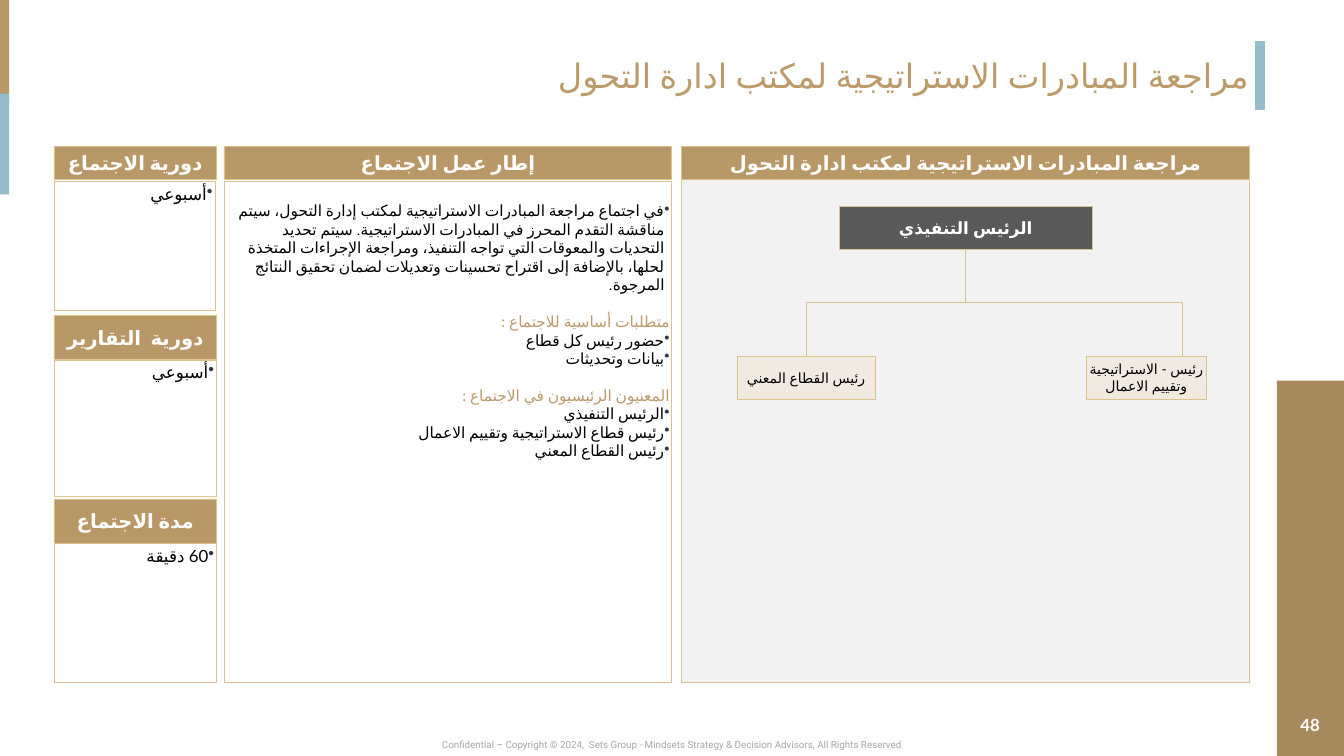
from lxml import etree
from pptx import Presentation, util as u
from pptx.dml.color import RGBColor
from pptx.enum import lang, shapes, text
from pptx.oxml.ns import qn

GOLD, TITLE_GOLD, BORDER, BLUE = "B99868", "BC9A69", "DCC28C", "94BCCB"
WHITE, BLACK, BULLET, CREAM = "FFFFFF", "000000", "293947", "F1EAE1"
CENTER, RIGHT = text.PP_ALIGN.CENTER, text.PP_ALIGN.RIGHT
MIDDLE, TOP = text.MSO_ANCHOR.MIDDLE, text.MSO_ANCHOR.TOP
INSET = 0.04


def paint(color_format, color):
    color_format.rgb = RGBColor.from_string(color)


def add_rect(page, bounds, fill, border=None, width=0.75):
    rect = page.shapes.add_shape(shapes.MSO_SHAPE.RECTANGLE, *map(u.Inches, bounds))
    rect.shadow.inherit = False
    rect.fill.solid()
    paint(rect.fill.fore_color, fill)
    if border:
        paint(rect.line.color, border)
        rect.line.width = u.Pt(width)
    else:
        rect.line.fill.background()
    return rect


def set_frame(shape, anchor, across=INSET, top=INSET, bottom=INSET):
    frame = shape.text_frame
    frame.word_wrap = True
    frame.vertical_anchor = anchor
    frame.margin_left = frame.margin_right = u.Inches(across)
    frame.margin_top, frame.margin_bottom = u.Inches(top), u.Inches(bottom)
    return frame


def set_para(para, words, size, color, align=CENTER, font="Lato", bold=False,
             rtl=True, bullet=False):
    para.text = words
    para.alignment = align
    props = para._p.get_or_add_pPr()
    if bullet:
        props.set("marL", str(u.Inches(0.1)))
        props.set("indent", str(-u.Inches(0.1)))
        bullet_color = etree.SubElement(props, qn("a:buClr"))
        etree.SubElement(bullet_color, qn("a:srgbClr"), val=BULLET)
        etree.SubElement(props, qn("a:buChar"), char="•")
    para.font.name, para.font.size, para.font.bold = font, u.Pt(size), bold
    paint(para.font.color, color)
    if rtl:
        props.set("rtl", "1")
        etree.SubElement(props.find(qn("a:defRPr")), qn("a:cs"), typeface=font)
        para.runs[0].font.language_id = lang.MSO_LANGUAGE_ID.ARABIC


def add_label(page, bounds, words, fill, size, color=WHITE, bold=True):
    rect = add_rect(page, bounds, fill, BORDER)
    set_para(set_frame(rect, MIDDLE).paragraphs[0], words, size, color, bold=bold)


def add_text(page, bounds, words, size, color, across=0.1, down=0.05, **style):
    box = page.shapes.add_textbox(*map(u.Inches, bounds))
    para = set_frame(box, MIDDLE, across, down, down).paragraphs[0]
    set_para(para, words, size, color, **style)
    return para


def add_side_card(page, top, header_height, body_top, body_size, header, words):
    add_label(page, (1.07, top, 3.22, header_height), header, GOLD, 28)
    rect = add_rect(page, (1.07, body_top, *body_size), WHITE, BORDER)
    set_para(set_frame(rect, TOP).paragraphs[0], words, 24, BLACK, RIGHT, bullet=True)


def add_framework(page, sections):
    rect = add_rect(page, (4.44, 3.6, 8.88, 9.93), WHITE, BORDER)
    frame = set_frame(rect, TOP, top=0.4)
    para = frame.paragraphs[0]
    for heading, items in sections:
        if heading:
            para = frame.add_paragraph()
            set_para(para, heading, 22, TITLE_GOLD, RIGHT)
            para.space_before = u.Pt(26)
        for item in items:
            if heading:
                para = frame.add_paragraph()
            set_para(para, item, 22, BLACK, RIGHT, "Roboto", bullet=True)


def add_branch(page, start, end):
    (x1, y1), (x2, y2) = start, end
    middle_x, middle_y = (x1 + x2) / 2, (y1 + y2) / 2
    half_drop, half_span = (y2 - y1) / 2, abs(x2 - x1) / 2
    turn, side = (270, 1) if x2 > x1 else (90, -1)
    branch = page.shapes.add_connector(
        shapes.MSO_CONNECTOR.ELBOW,
        u.Inches(middle_x + side * half_drop), u.Inches(middle_y - half_span),
        u.Inches(middle_x - side * half_drop), u.Inches(middle_y + half_span))
    props = branch._element.spPr
    props.find(qn("a:xfrm")).set("rot", str(turn * 60000))
    paint(branch.line.color, BORDER)
    branch.line.width = u.Pt(1.5)
    etree.SubElement(props, qn("a:effectLst"))


def add_page_frame(page):
    add_text(page, (7.94, 14.55, 10.77, 0.45),
             "Confidential – Copyright © 2024,  Sets Group - Mindsets Strategy & "
             "Decision Advisors, All Rights Reserved",
             14, "A6A6A6", font="Roboto", rtl=False)
    add_rect(page, (24.89, 0.82, 0.18, 1.35), BLUE, BLUE, 0.85)
    add_rect(page, (0, 0, 0.18, 2), GOLD)
    add_rect(page, (0, 1.86, 0.18, 2), BLUE)
    add_rect(page, (25.32, 7.55, 1.33, 7.45), "A78B5E")
    number = add_text(page, (25.47, 14, 1.02, 0.57), "48", 24, WHITE,
                      across=0.2, down=0.1, bold=True, rtl=False)
    number.line_spacing = 1.5


def add_org_chart(page):
    add_rect(page, (13.51, 3.4, 11.27, 10.13), "F2F2F2", BORDER)
    add_label(page, (13.51, 2.91, 11.27, 0.65),
              "مراجعة المبادرات الاستراتيجية لمكتب ادارة التحول", GOLD, 28)
    add_label(page, (16.65, 4.09, 5, 0.85), "الرئيس التنفيذي", "595959", 24)
    members = [(21.54, 2.38, 23.44, "رئيس - الاستراتيجية وتقييم الاعمال"),
               (14.61, 2.75, 15.99, "رئيس القطاع المعني")]
    for left, width, branch_x, words in members:
        add_branch(page, (19.15, 4.94), (branch_x, 7.07))
        add_label(page, (left, 7.07, width, 0.85), words, CREAM, 20, BLACK, False)


def main():
    deck = Presentation()
    deck.slide_width, deck.slide_height = u.Inches(26.65), u.Inches(15)
    page = deck.slides.add_slide(deck.slide_layouts[6])
    add_page_frame(page)
    add_text(page, (0.43, 0.82, 24.35, 1.35),
             "مراجعة المبادرات الاستراتيجية لمكتب ادارة التحول",
             48, TITLE_GOLD, across=0, down=0, align=RIGHT)
    add_org_chart(page)
    add_label(page, (4.44, 2.91, 8.88, 0.65), "إطار عمل الاجتماع", GOLD, 28)
    add_framework(page, [
        (None, ["في اجتماع مراجعة المبادرات الاستراتيجية لمكتب إدارة التحول، سيتم "
                "مناقشة التقدم المحرز في المبادرات الاستراتيجية. سيتم تحديد التحديات "
                "والمعوقات التي تواجه التنفيذ، ومراجعة الإجراءات المتخذة لحلها، "
                "بالإضافة إلى اقتراح تحسينات وتعديلات لضمان تحقيق النتائج المرجوة."]),
        ("متطلبات أساسية للاجتماع :", ["حضور رئيس كل قطاع", "بيانات وتحديثات"]),
        ("المعنيون الرئيسيون في الاجتماع :",
         ["الرئيس التنفيذي", "رئيس قطاع الاستراتيجية وتقييم الاعمال",
          "رئيس القطاع المعني"]),
    ])
    add_side_card(page, 2.91, 0.65, 3.6, (3.19, 2.56), "دورية الاجتماع", "أسبوعي")
    add_side_card(page, 6.26, 0.87, 7.14, (3.22, 2.7), "دورية  التقارير", "أسبوعي")
    add_side_card(page, 9.9, 0.87, 10.78, (3.22, 2.75), "مدة الاجتماع", "60 دقيقة")
    deck.save("out.pptx")


if __name__ == "__main__":
    main()
